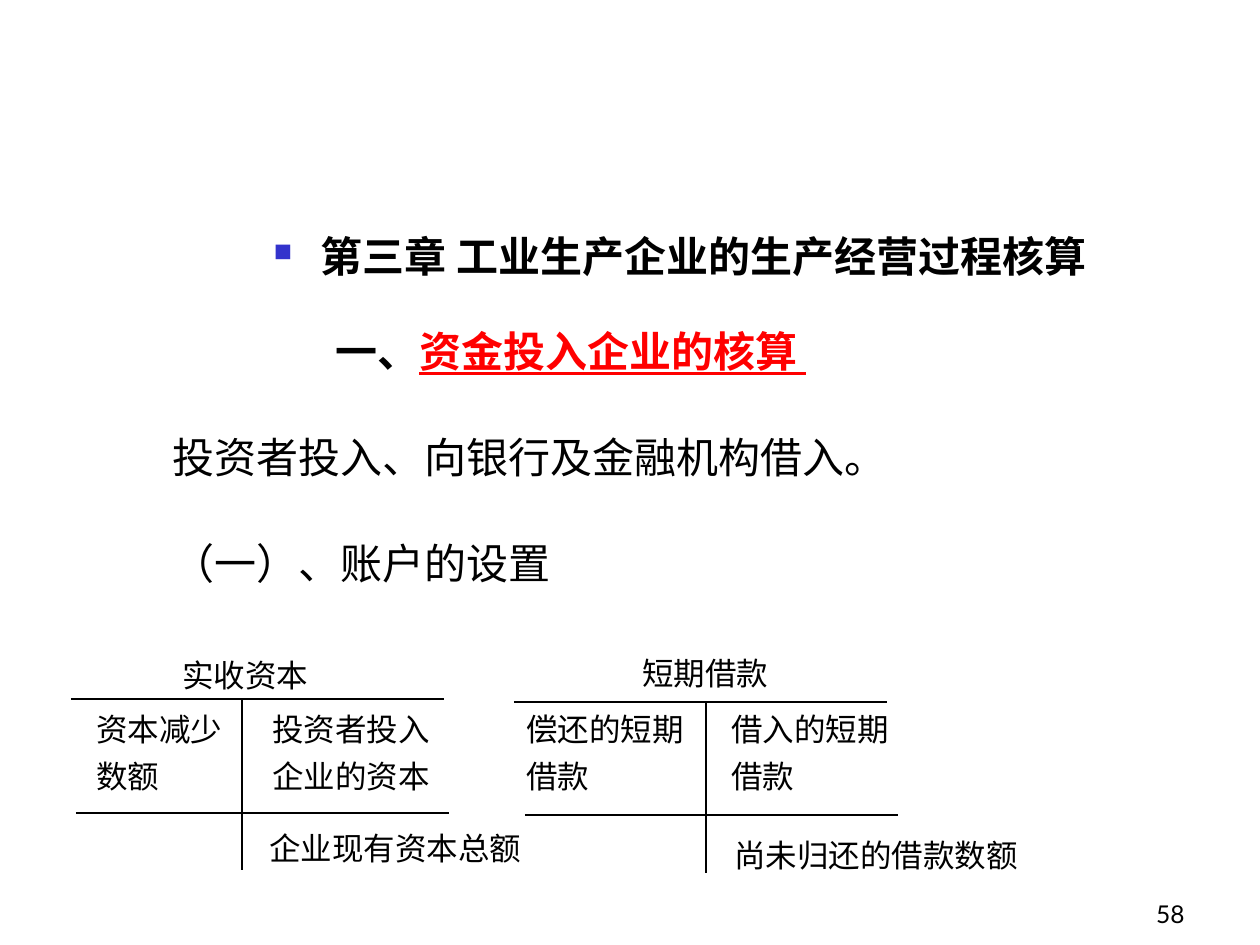
from lxml.etree import SubElement
from pptx import Presentation
from pptx.dml.color import RGBColor
from pptx.enum.shapes import MSO_CONNECTOR
from pptx.enum.text import MSO_ANCHOR, PP_ALIGN
from pptx.oxml.ns import qn
from pptx.util import Emu, Pt

PX_PER_INCH = 126
BLACK, RED, BLUE = "000000", "FF0000", "3333CC"

CHAPTER = "第三章 工业生产企业的生产经营过程核算"
BODY = [
    [("一、", {"bold": True}),
     ("资金投入企业的核算", {"bold": True, "underline": True, "color": RED}),
     (" ", {"underline": True, "color": RED})],
    [("投资者投入、向银行及金融机构借入。", {})],
    [("（一）、账户的设置", {})],
]
PAGE_NUMBER = "58"

# Each account: lines as (x1, y1, x2, y2), labels as (box, paragraphs).
ACCOUNTS = [
    {"lines": [(71, 699, 444, 699), (76, 813, 449, 813), (242, 699, 242, 870)],
     "labels": [((170, 650, 276, 50), ["实收资本"]),
                ((84, 704, 181, 107), ["资本减少", "数额"]),
                ((260, 704, 194, 107), ["投资者投入", "企业的资本"]),
                ((257, 823, 305, 50), ["企业现有资本总额"])]},
    {"lines": [(514, 702, 887, 702), (525, 815, 898, 815), (706, 702, 706, 873)],
     "labels": [((630, 648, 244, 50), ["短期借款"]),
                ((514, 704, 239, 107), ["偿还的短期", "借款"]),
                ((719, 704, 231, 107), ["借入的短期", "借款"]),
                ((722, 830, 359, 50), ["尚未归还的借款数额"])]},
]


def px(length):
    return Emu(round(length * 914400 / PX_PER_INCH))


def rgb(value):
    return RGBColor.from_string(value)


def add_text(slide, box, paragraphs, font="Times New Roman", size=18, gap=5,
             align=PP_ALIGN.LEFT, anchor=MSO_ANCHOR.TOP):
    """Add a text box; each paragraph is a list of (text, font values) runs."""
    shape = slide.shapes.add_textbox(*map(px, box))
    frame = shape.text_frame
    frame.word_wrap = True
    frame.vertical_anchor = anchor
    for index, runs in enumerate(paragraphs):
        paragraph = frame.paragraphs[0] if index == 0 else frame.add_paragraph()
        paragraph.alignment = align
        if index:
            paragraph.space_before = Pt(gap)
        for text, values in runs:
            run = paragraph.add_run()
            run.text = text
            settings = {"name": font, "size": Pt(size), **values}
            run.font.color.rgb = rgb(settings.pop("color", BLACK))
            for name, value in settings.items():
                setattr(run.font, name, value)
    return frame


def add_bullet(paragraph, symbol, color, percent, indent):
    properties = paragraph._p.get_or_add_pPr()
    properties.set("marL", str(px(indent)))
    properties.set("indent", str(-px(indent)))
    bullet_color = SubElement(properties, qn("a:buClr"))
    SubElement(bullet_color, qn("a:srgbClr"), val=color)
    SubElement(properties, qn("a:buSzPct"), val=str(percent * 1000))
    SubElement(properties, qn("a:buChar"), char=symbol)


def add_line(slide, ends):
    line = slide.shapes.add_connector(MSO_CONNECTOR.STRAIGHT, *map(px, ends))
    line.line.color.rgb = rgb(BLACK)
    line.line.width = Pt(0.75)
    SubElement(line._element.spPr, qn("a:effectLst"))


def main():
    presentation = Presentation()
    presentation.slide_width, presentation.slide_height = px(1260), px(945)
    slide = presentation.slides.add_slide(presentation.slide_layouts[6])

    add_text(slide, (935, 872, 262, 63), [[(PAGE_NUMBER, {})]], font="Lato",
             size=14, align=PP_ALIGN.RIGHT, anchor=MSO_ANCHOR.BOTTOM)
    chapter = add_text(slide, (100, 224, 1160, 851), [[(CHAPTER, {"bold": True})]],
                       font="Lato", size=24, align=PP_ALIGN.CENTER)
    add_bullet(chapter.paragraphs[0], "■", BLUE, 60, 47)

    for account in ACCOUNTS:
        for ends in account["lines"]:
            add_line(slide, ends)
        for box, texts in account["labels"]:
            add_text(slide, box, [[(text, {})] for text in texts])

    body = add_text(slide, (160, 319, 822, 381), BODY, size=24, gap=32)
    body.paragraphs[0].alignment = PP_ALIGN.CENTER
    presentation.save("out.pptx")


if __name__ == "__main__":
    main()
